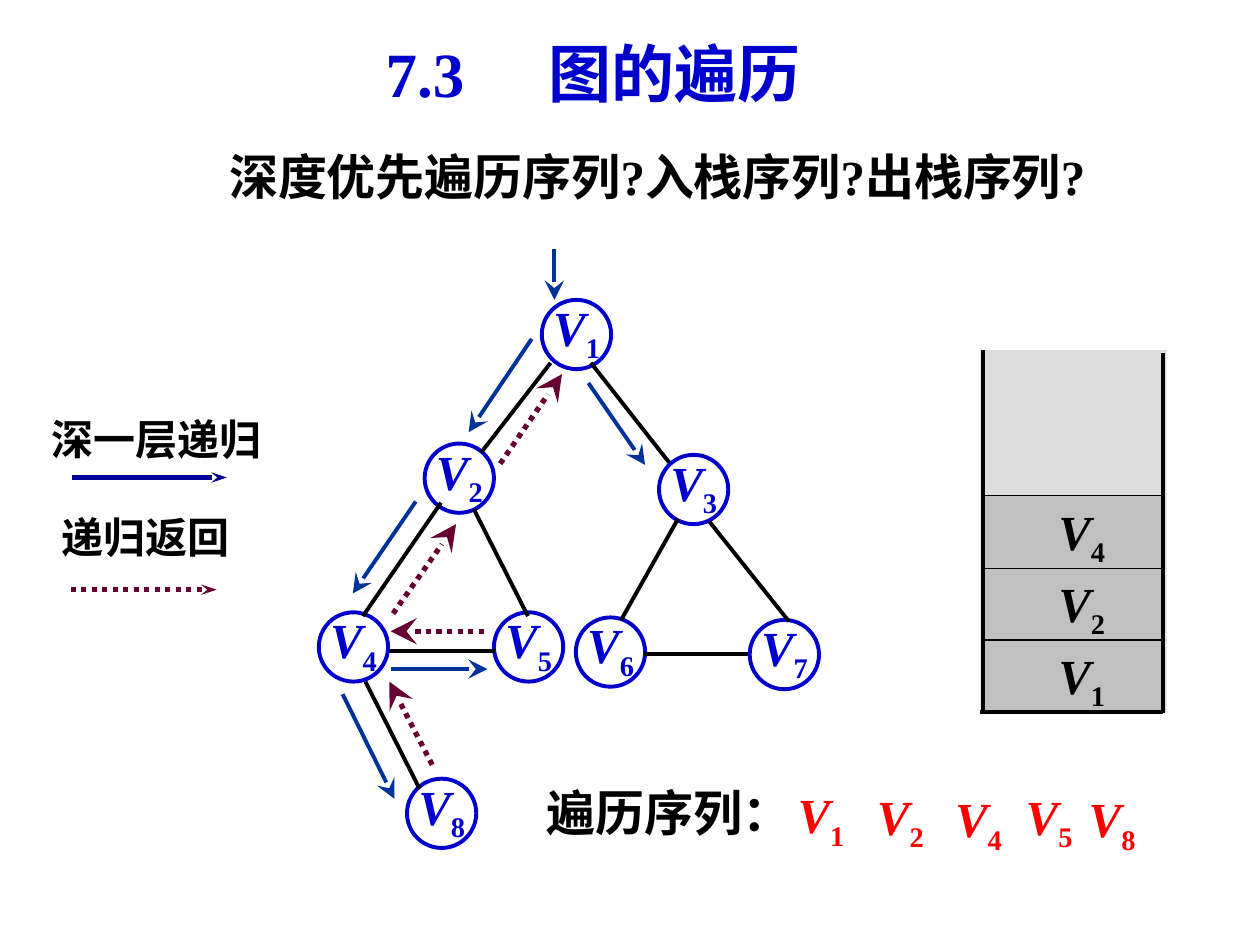
from lxml.etree import SubElement
from pptx import Presentation
from pptx.dml.color import RGBColor
from pptx.enum.dml import MSO_LINE
from pptx.enum.shapes import MSO_CONNECTOR, MSO_SHAPE
from pptx.enum.text import MSO_ANCHOR, PP_ALIGN
from pptx.oxml.ns import qn
from pptx.util import Pt

PX = 9144
BLACK = RGBColor(0, 0, 0)
BLUE = RGBColor(0, 0, 0xCC)
NAVY = RGBColor(0, 0, 0x99)
STEEL = RGBColor(0, 0x33, 0x99)
WINE = RGBColor(0x66, 0, 0x33)
RED = RGBColor(0xFF, 0, 0)
PALE = RGBColor(0xDD, 0xDD, 0xDD)
GREY = RGBColor(0xC0, 0xC0, 0xC0)
SERIF = "Times New Roman"

deck = Presentation()
deck.slide_width, deck.slide_height = 1000 * PX, 750 * PX
slide = deck.slides.add_slide(deck.slide_layouts[6])
shapes = slide.shapes


def wire(ends, color, width=2.25, head=None, dash=None):
    link = shapes.add_connector(MSO_CONNECTOR.STRAIGHT, *[v * PX for v in ends])
    link.line.color.rgb = color
    link.line.width = Pt(width)
    if dash:
        link.line.dash_style = dash
    props = link.element.spPr
    if head:
        wide, long = head
        SubElement(props.get_or_add_ln(), qn("a:tailEnd"), type="stealth", w=wide, len=long)
    SubElement(props, qn("a:effectLst"))


def write(shape, text, color, inset, size=28, sub="", face=SERIF, align=PP_ALIGN.LEFT, wrap=True):
    frame = shape.text_frame
    frame.word_wrap = wrap
    frame.vertical_anchor = MSO_ANCHOR.TOP
    left, top, right, base = [v * PX for v in inset]
    frame.margin_left, frame.margin_top = left, top
    frame.margin_right, frame.margin_bottom = right, base
    para = frame.paragraphs[0]
    para.alignment = align
    run = para.add_run()
    run.text = text
    if sub:
        run.font.italic = True
        low = para.add_run()
        low.text = sub
        low.font._element.set("baseline", "-25000")
    font = para.font
    font.size, font.bold, font.name = Pt(size), True, face
    font.color.rgb = color
    for run in para.runs:
        run.font.size, run.font.bold, run.font.name = Pt(size), True, face
        run.font.color.rgb = color
    return frame


BIG = ("lg", "lg")
SLIM = ("sm", "med")
DOTS = MSO_LINE.ROUND_DOT
THIN = (2, 1, 2, 1)
WIDE = (10, 5, 10, 5)

box = shapes.add_textbox(240 * PX, 28 * PX, 458 * PX, 58 * PX)
title = write(box, "7.3\t", BLUE, (66, 5, 0, 5), 36)
title.vertical_anchor = MSO_ANCHOR.MIDDLE
para = title.paragraphs[0]
tabs = SubElement(para._p.get_or_add_pPr(), qn("a:tabLst"))
para._p.pPr.insert(0, tabs)
SubElement(tabs, qn("a:tab"), pos=str(129 * PX), algn="l")
name = para.add_run()
name.text = "图的遍历"
name.font.size, name.font.bold, name.font.name = Pt(36), True, "Arial"
name.font.color.rgb = BLUE

box = shapes.add_textbox(172 * PX, 111 * PX, 725 * PX, 57 * PX)
write(box, "深度优先遍历序列?入栈序列?出栈序列?", BLACK, WIDE, align=PP_ALIGN.JUSTIFY)

wire((57, 379, 180, 379), NAVY, 3, SLIM)
wire((56, 468, 172, 468), WINE, 3, SLIM, DOTS)
for x, y, w, h, text in ((39, 327, 175, 54, "深一层递归"), (47, 405, 167, 53, "递归返回")):
    box = shapes.add_textbox(x * PX, y * PX, w * PX, h * PX)
    write(box, text, BLACK, THIN, 24, align=PP_ALIGN.JUSTIFY)

stack = shapes.add_shape(MSO_SHAPE.RECTANGLE, 778 * PX, 278 * PX, 148 * PX, 287 * PX)
stack.shadow.inherit = False
stack.fill.solid()
stack.fill.fore_color.rgb = PALE
stack.line.fill.background()
for row, num in enumerate("124"):
    cell = shapes.add_shape(
        MSO_SHAPE.RECTANGLE, 780 * PX, (507 - 57 * row) * PX, 143 * PX, 58 * PX)
    cell.shadow.inherit = False
    cell.fill.solid()
    cell.fill.fore_color.rgb = GREY
    cell.line.color.rgb = BLACK
    cell.line.width = Pt(0.75)
    write(cell, "V", BLACK, (60, 5, 10, 5), sub=num)
for ends in ((780, 278, 780, 565), (923, 280, 923, 566), (778, 565, 923, 565)):
    wire(ends, BLACK)

box = shapes.add_textbox(424 * PX, 616 * PX, 238 * PX, 57 * PX)
write(box, "遍历序列：", BLACK, WIDE, face="Arial")
for x, y, num in ((631, 622, "1"), (694, 623, "2"), (756, 625, "4"),
                  (812, 623, "5"), (862, 625, "8")):
    box = shapes.add_textbox(x * PX, y * PX, 62 * PX, 49 * PX)
    write(box, "V", RED, THIN, sub=num)

for ends in ((440, 198, 440, 238), (422, 269, 372, 343), (330, 398, 280, 471),
             (310, 531, 387, 531), (272, 551, 313, 634), (467, 304, 512, 369)):
    wire(ends, STEEL, head=BIG)
for ends in ((384, 501, 310, 501), (343, 607, 309, 541),
             (312, 487, 362, 416), (397, 368, 446, 297)):
    wire(ends, WINE, 3, BIG, DOTS)

for x, y, num in ((430, 238, "1"), (337, 352, "2"), (523, 361, "3"), (253, 486, "4"),
                  (392, 486, "5"), (457, 490, "6"), (595, 492, "7"), (323, 618, "8")):
    ring = shapes.add_shape(MSO_SHAPE.OVAL, x * PX, y * PX, 55 * PX, 55 * PX)
    ring.shadow.inherit = False
    ring.fill.background()
    ring.line.color.rgb = BLUE
    ring.line.width = Pt(2.25)
    box = shapes.add_textbox((x + 8) * PX, (y - 5) * PX, 51 * PX, 65 * PX)
    write(box, "V", BLUE, (1, 3, 0, 1), sub=num, align=PP_ALIGN.JUSTIFY)

for ends in ((393, 517, 309, 517), (563, 414, 626, 493), (350, 399, 288, 489),
             (376, 404, 419, 489), (538, 412, 493, 492), (594, 519, 511, 519),
             (290, 541, 333, 626), (437, 288, 382, 359), (469, 288, 531, 367)):
    wire(ends, BLACK)

deck.save("out.pptx")
